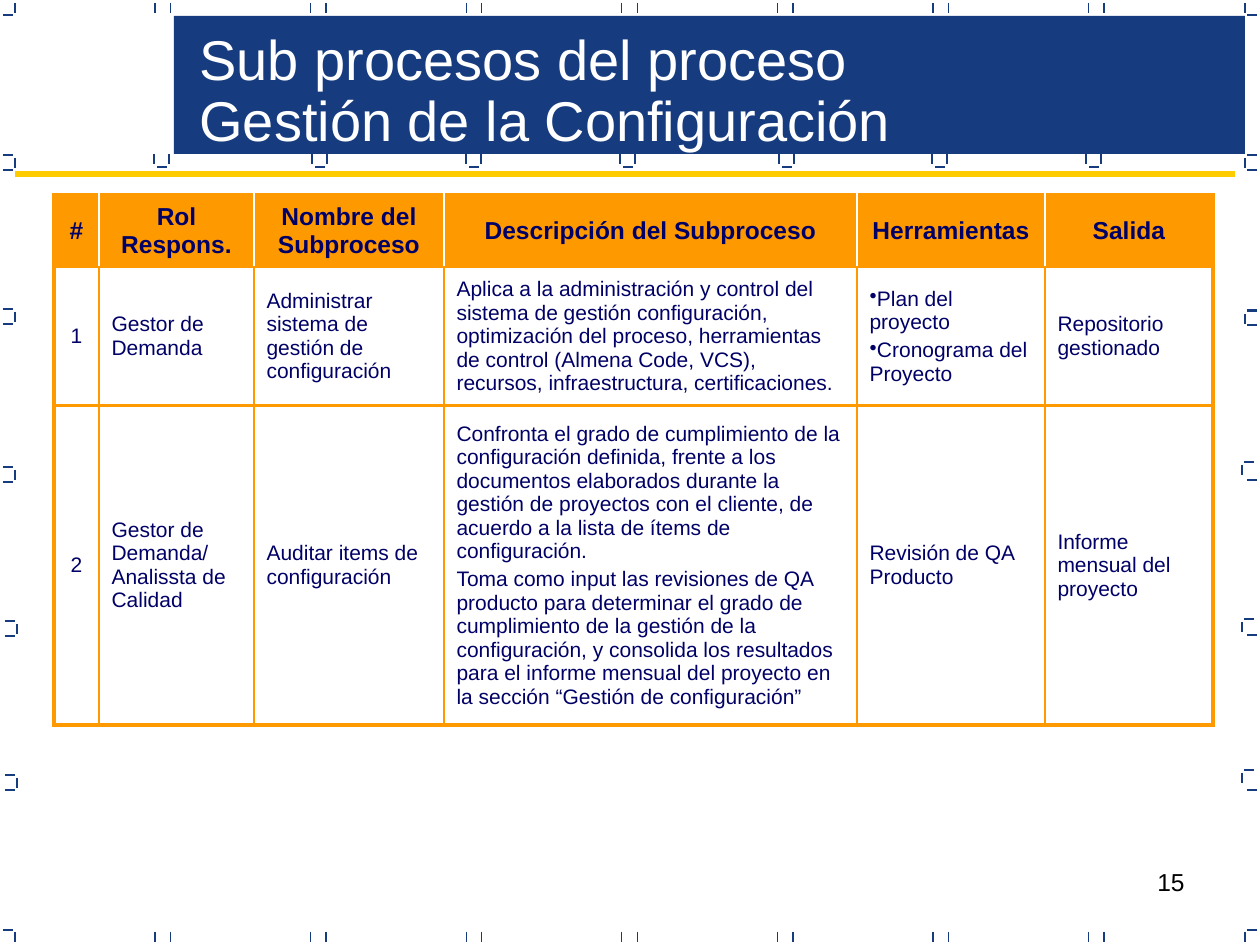
from lxml import etree
from pptx import Presentation
from pptx import util as u
from pptx.dml import color
from pptx.enum import shapes, text
from pptx.oxml import ns

SCALE = 914400 / 126
COLORS = {"navy": "163B7F", "gold": "FFCC00", "orange": "FF9900",
          "ink": "000066", "white": "FFFFFF", "black": "000000"}
FORMATS = {
    "title": {"size": u.Pt(32), "name": "Arial", "color": "white"},
    "number": {"size": u.Pt(14), "name": "Arial", "color": "black"},
    "header": {"size": u.Pt(14), "name": "Arial", "bold": True, "color": "ink"},
    "body": {"size": u.Pt(12), "name": "Arial", "bold": False, "color": "ink"},
}
COLUMNS = [45, 155, 190, 413, 188, 168]
ROWS = [72, 138, 299]
CELLS = [
    [["#"], ["Rol Respons."], ["Nombre del Subproceso"],
     ["Descripción del Subproceso"], ["Herramientas"], ["Salida"]],
    [["1"], ["Gestor de Demanda"],
     ["Administrar sistema de gestión de configuración"],
     ["Aplica a la administración y control del sistema de gestión configuración, "
      "optimización del proceso, herramientas de control (Almena Code, VCS), "
      "recursos, infraestructura, certificaciones."],
     ["•Plan del proyecto", "•Cronograma del Proyecto"],
     ["Repositorio gestionado"]],
    [["2"], ["Gestor de Demanda/ Analissta de Calidad"],
     ["Auditar items de configuración"],
     ["Confronta el grado de cumplimiento de la configuración definida, frente a "
      "los documentos elaborados durante la gestión de proyectos con el cliente, "
      "de acuerdo a la lista de ítems de configuración.",
      "Toma como input las revisiones de QA producto para determinar el grado de "
      "cumplimiento de la gestión de la configuración, y consolida los resultados "
      "para el informe mensual del proyecto en la sección “Gestión de "
      "configuración”"],
     ["Revisión de QA Producto"], ["Informe mensual del proyecto"]],
]


def px(n):
    """Turn pixels into EMU."""
    return u.Emu(round(n * SCALE))


def rgb(name):
    """Return a palette colour."""
    return color.RGBColor.from_string(COLORS[name])


def style(r, kind):
    """Apply a named text format to a run."""
    for key, value in FORMATS[kind].items():
        if key == "color":
            r.font.color.rgb = rgb(value)
        else:
            setattr(r.font, key, value)


def write(tf, lines, kind, **paragraph):
    """Fill a text frame with one paragraph per line."""
    for i, line in enumerate(lines):
        p = tf.paragraphs[0] if i == 0 else tf.add_paragraph()
        for key, value in paragraph.items():
            setattr(p, key, value)
        if line.startswith("•"):
            pPr = p._p.get_or_add_pPr()
            pPr.set("marL", "0")
            pPr.set("indent", "0")
            etree.SubElement(pPr, ns.qn("a:buChar")).set("char", "•")
        r = p.add_run()
        r.text = line.lstrip("•")
        style(r, kind)


def textbox(s, box, lines, kind, **paragraph):
    """Place wrapped text in a box."""
    tf = s.shapes.add_textbox(*map(px, box)).text_frame
    tf.word_wrap = True
    write(tf, lines, kind, **paragraph)


def line(s, x1, y1, x2, y2, name="navy", width=0.75):
    """Draw a straight line."""
    c = s.shapes.add_connector(shapes.MSO_CONNECTOR.STRAIGHT,
                               *map(px, (x1, y1, x2, y2)))
    c.line.color.rgb = rgb(name)
    c.line.width = u.Pt(width)
    etree.SubElement(c._element.spPr, ns.qn("a:effectLst"))


def edge_ticks(s, box):
    """Draw paired ticks along the top and bottom edges."""
    left, top, width, height = box
    for i in range(7):
        for x in (155 + 155.6 * i, 170.5 + 155.6 * i):
            for y in (top + 3, top + height - 13):
                line(s, left + x, y, left + x, y + 10)


def corners(s, box):
    """Draw the four corner marks."""
    left, top, width, height = box
    for x, dash in ((left + 15, left + 3), (left + width - 15, left + width - 13)):
        for y, level in ((top + 3, top + 15), (top + height - 13, top + height - 15)):
            line(s, x, y, x, y + 10)
            line(s, dash, level, dash + 10, level)


def side_brackets(s, box):
    """Draw brackets down the left and right edges."""
    left, top, width, height = box
    for shift, y in ((0, 155), (0, 309), (0, 467), (2, 621), (2, 775)):
        x, y = left + shift, top + y
        line(s, x + 15, y + 3, x + 15, y + 13)
        for level in (y, y + 15):
            line(s, x + 3, level, x + 13, level)
    right = left + width
    for shift, y, low in ((0, 155, 170), (0, 311, 325), (3, 462, 480),
                          (3, 619, 635), (3, 770, 790)):
        x = right - 15 - shift
        line(s, x, top + y + 3, x, top + y + 13)
        line(s, x + 2, top + y, x + 12, top + y)
        line(s, right - 13, top + low, right - 3, top + low)
    line(s, right - 13, top + 310, right - 3, top + 310)


def banner(s, box):
    """Draw the title band, its brackets, title and rule."""
    left, top, width, height = box
    band = s.shapes.add_shape(shapes.MSO_SHAPE.RECTANGLE, *map(px, box))
    band.shadow.inherit = False
    band.fill.solid()
    band.fill.fore_color.rgb = rgb("navy")
    band.line.fill.background()
    base = top + height
    for x in (154, 312, 466, 620, 779, 932, 1086):
        for leg in (x, x + 15):
            line(s, leg, base, leg, base + 10)
        line(s, x + 3, base + 13, x + 13, base + 13)
    textbox(s, (left + 13, top + 10, 1048, 134),
            ["Sub procesos del proceso", "Gestión de la Configuración"],
            "title", line_spacing=0.9)
    line(s, left - 159, base + 20, left + 1061, base + 20, "gold", 3)


def border(cell, sides):
    """Set the four borders of a cell in schema order."""
    tcPr = cell._tc.get_or_add_tcPr()
    for i, (side, (name, width)) in enumerate(sides.items()):
        ln = etree.Element(ns.qn(f"a:ln{side}"), w=str(u.Pt(width)))
        fill = etree.SubElement(ln, ns.qn("a:solidFill"))
        etree.SubElement(fill, ns.qn("a:srgbClr"), val=COLORS[name])
        tcPr.insert(i, ln)


def process_table(s, box):
    """Build the subprocess table."""
    table = s.shapes.add_table(len(ROWS), len(COLUMNS), *map(px, box)).table
    for column, width in zip(table.columns, COLUMNS):
        column.width = px(width)
    outer, inner, pale = ("orange", 2.25), ("orange", 1.5), ("white", 1)
    last_row, last_column = len(ROWS) - 1, len(COLUMNS) - 1
    for i, row in enumerate(CELLS):
        table.rows[i].height = px(ROWS[i])
        kind = "body" if i else "header"
        between = inner if i else pale
        for j, lines in enumerate(row):
            cell = table.cell(i, j)
            cell.vertical_anchor = text.MSO_ANCHOR.MIDDLE
            cell.fill.solid()
            cell.fill.fore_color.rgb = rgb("white" if i else "orange")
            border(cell, {"L": between if j else outer,
                          "R": outer if j == last_column else between,
                          "T": inner if i else outer,
                          "B": outer if i == last_row else inner})
            centred = i == 0 or j == 0
            align = text.PP_ALIGN.CENTER if centred else text.PP_ALIGN.LEFT
            write(cell.text_frame, lines, kind, alignment=align,
                  space_before=u.Pt(2.4 if i else 2.8))


def main():
    """Build and save the slide."""
    prs = Presentation()
    prs.slide_width, prs.slide_height = px(1260), px(945)
    s = prs.slides.add_slide(prs.slide_layouts[6])
    page = (0, 0, 1260, 945)
    for part in (edge_ticks, corners, side_brackets):
        part(s, page)
    banner(s, (174, 16, 1071, 138))
    process_table(s, (54, 195, sum(COLUMNS), sum(ROWS)))
    textbox(s, (903, 861, 294, 66), ["15"], "number",
            alignment=text.PP_ALIGN.RIGHT)
    prs.save("out.pptx")


main()
